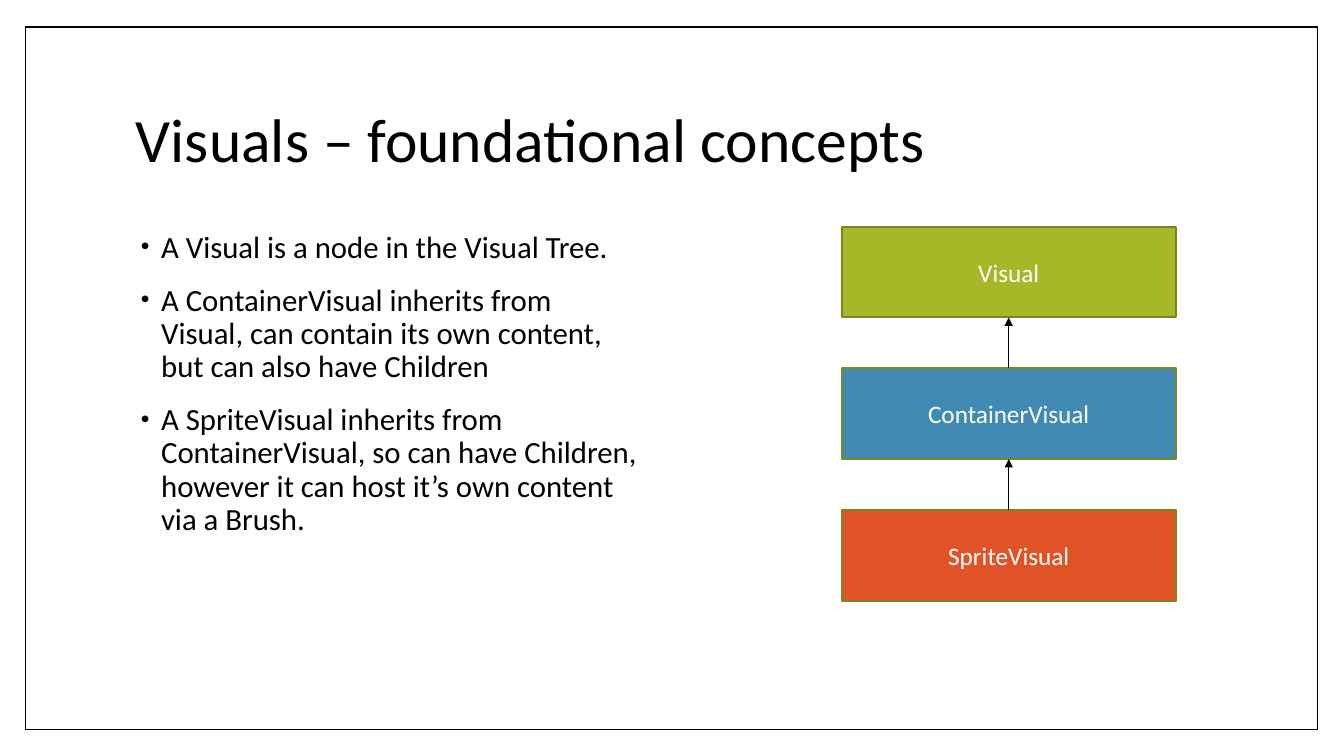
"""Build the slide on the foundational concepts of Visuals."""
from lxml import etree
from pptx import Presentation
from pptx.dml.color import RGBColor
from pptx.enum.shapes import MSO_CONNECTOR, MSO_SHAPE
from pptx.enum.text import MSO_ANCHOR, PP_ALIGN
from pptx.oxml.ns import qn
from pptx.util import Inches, Pt


def paint(target, color):
    if hasattr(target, "solid"):
        target.solid()
        target = target.fore_color
    target.rgb = RGBColor.from_string(color)


def write(shape, lines, size, color, anchor, **form):
    frame = shape.text_frame
    frame.word_wrap = True
    frame.vertical_anchor = anchor
    frame.text = "\n".join(lines)
    for para in frame.paragraphs:
        for name, value in form.items():
            setattr(para, name, value)
        para.font.size = Pt(size)
        para.font.name = "Calibri"
        paint(para.font.color, color)
    return frame


deck = Presentation()
deck.slide_width, deck.slide_height = Inches(13.33), Inches(7.5)
slide = deck.slides.add_slide(deck.slide_layouts[6])
shapes = slide.shapes
paint(slide.background.fill, "FFFFFF")

border = shapes.add_shape(
    MSO_SHAPE.RECTANGLE, Inches(0.25), Inches(0.27), Inches(12.82), Inches(6.97))
border.shadow.inherit = False
paint(border.fill, "FFFFFF")
paint(border.line.color, "000000")
border.line.width = Pt(1)

title = shapes.add_textbox(Inches(1.25), Inches(0.67), Inches(10.8), Inches(1.48))
write(title, ["Visuals – foundational concepts"], 44, "000000",
      MSO_ANCHOR.MIDDLE, line_spacing=0.9)

points = [
    "A Visual is a node in the Visual Tree.",
    "A ContainerVisual inherits from Visual, can contain its own content, "
    "but can also have Children",
    "A SpriteVisual inherits from ContainerVisual, so can have Children, "
    "however it can host it’s own content via a Brush.",
]
body = shapes.add_textbox(Inches(1.25), Inches(2.25), Inches(5.2), Inches(4.4))
frame = write(body, points, 22, "000000", MSO_ANCHOR.TOP,
              line_spacing=0.9, space_before=Pt(14))
for para in frame.paragraphs:
    props = para._p.get_or_add_pPr()
    props.set("marL", str(Inches(0.25)))
    props.set("indent", str(Inches(-0.2)))
    tint = etree.Element(qn("a:buClr"))
    etree.SubElement(tint, qn("a:srgbClr"), val="000000")
    scale = etree.Element(qn("a:buSzPct"), val="80000")
    face = etree.Element(qn("a:buFont"), typeface="Arial")
    mark = etree.Element(qn("a:buChar"), char="•")
    spot = props.index(props.find(qn("a:spcBef"))) + 1
    props[spot:spot] = [tint, scale, face, mark]

left, top, width, height, step = 8.35, 2.25, 3.31, 0.9, 1.405
tiers = [("Visual", "A6B727"), ("ContainerVisual", "418AB3"), ("SpriteVisual", "DF5327")]
for row, (name, color) in enumerate(tiers):
    box = shapes.add_shape(
        MSO_SHAPE.RECTANGLE, Inches(left), Inches(top + row * step),
        Inches(width), Inches(height))
    box.shadow.inherit = False
    paint(box.fill, color)
    paint(box.line.color, "7B871D")
    box.line.width = Pt(1.5)
    write(box, [name], 18, "FFFFFF", MSO_ANCHOR.MIDDLE, alignment=PP_ALIGN.CENTER)

for row in range(1, len(tiers)):
    start = top + row * step
    arrow = shapes.add_connector(
        MSO_CONNECTOR.STRAIGHT, Inches(left + width / 2), Inches(start),
        Inches(left + width / 2), Inches(start - step + height))
    paint(arrow.line.color, "000000")
    arrow.line.width = Pt(0.79)
    etree.SubElement(arrow.line._get_or_add_ln(), qn("a:tailEnd"), type="triangle")
    etree.SubElement(arrow._element.spPr, qn("a:effectLst"))

deck.save("out.pptx")
